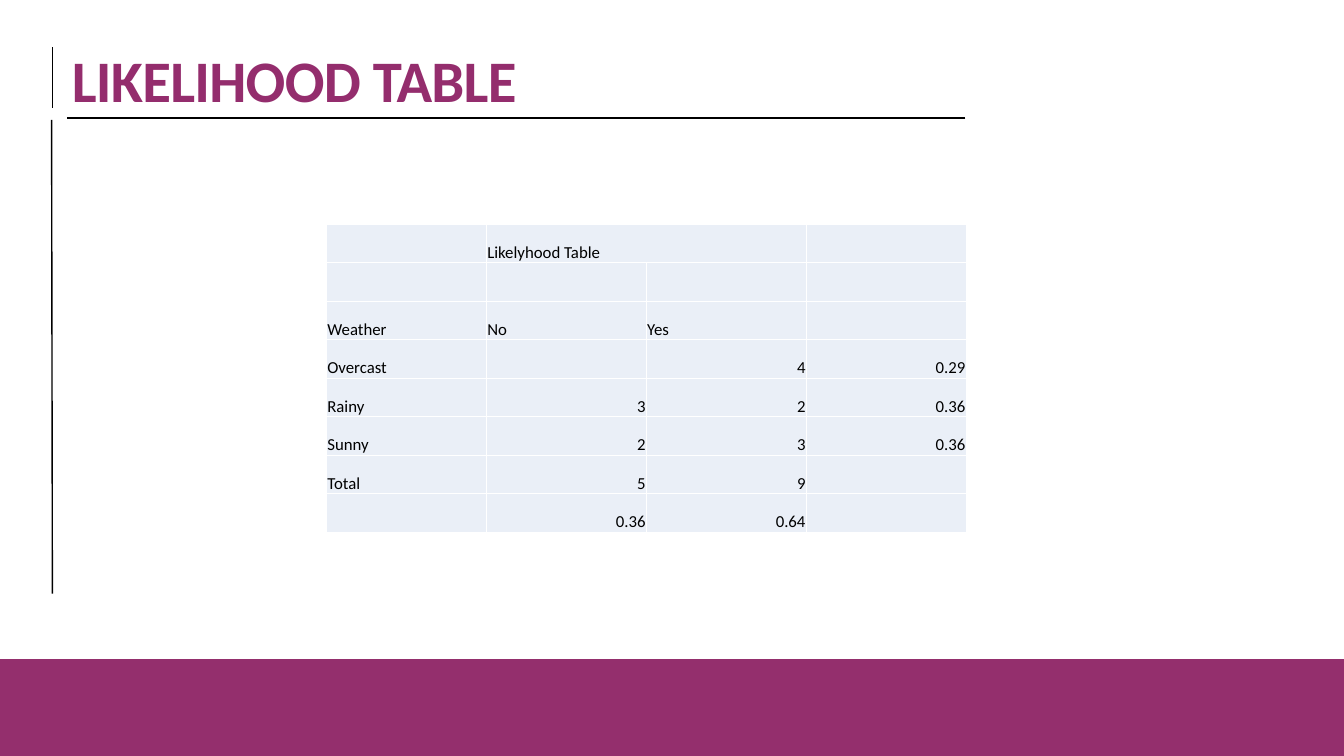
from dataclasses import dataclass

from lxml.etree import SubElement
from pptx import Presentation
from pptx.dml.color import RGBColor as Color
from pptx.enum.shapes import MSO_CONNECTOR as Connector, MSO_SHAPE as Shape
from pptx.enum.text import MSO_ANCHOR as Anchor, PP_ALIGN as Align
from pptx.oxml import parse_xml
from pptx.oxml.ns import nsdecls, qn
from pptx.util import Cm, Pt


@dataclass(frozen=True)
class Theme:
    font: str = "Calibri"
    title_size: int = 42
    table_size: int = 12
    title: str = "942D6D"
    band: str = "942F6D"
    ink: str = "000000"
    cell: str = "EAEFF7"
    border: str = "FFFFFF"


theme = Theme()


def style_font(paragraph, size, color, bold=False):
    font = paragraph.font
    font.name = theme.font
    font.size = Pt(size)
    font.bold = bold
    font.color.rgb = Color.from_string(color)


def style_cell(cell):
    cell.fill.solid()
    cell.fill.fore_color.rgb = Color.from_string(theme.cell)
    cell.vertical_anchor = Anchor.BOTTOM
    cell.margin_left = cell.margin_right = cell.margin_top = Cm(0.02)
    cell.margin_bottom = 0
    properties = cell._tc.get_or_add_tcPr()
    for index, side in enumerate("LRTB"):
        properties.insert(index, parse_xml(
            f'<a:ln{side} {nsdecls("a")} w="12700"><a:solidFill>'
            f'<a:srgbClr val="{theme.border}"/></a:solidFill></a:ln{side}>'))


presentation = Presentation()
presentation.slide_width = Cm(33.87)
presentation.slide_height = Cm(19.05)
slide = presentation.slides.add_slide(presentation.slide_layouts[6])

# Bottom band
band = slide.shapes.add_shape(Shape.RECTANGLE, 0, Cm(16.61), Cm(33.87), Cm(2.44))
band.shadow.inherit = False
band.fill.solid()
band.fill.fore_color.rgb = Color.from_string(theme.band)
band.line.fill.background()

# Title
title = slide.shapes.add_textbox(Cm(1.68), Cm(1.55), Cm(25.27), Cm(2.97))
frame = title.text_frame
frame.word_wrap = True
frame.margin_left = Cm(0.13)
frame.margin_top = Cm(0.21)
paragraph = frame.paragraphs[0]
paragraph.line_spacing = Pt(32)
style_font(paragraph, theme.title_size, theme.title, bold=True)
run = paragraph.add_run()
run.text = "LIKELIHOOD TABLE"
run._r.get_or_add_rPr().set("spc", "-50")

# Rules beside and below the title
rules = [
    (24.33, 2.97, 1.68, 2.97),
    (1.32, 2.72, 1.32, 1.18),
    (1.32, 14.96, 1.3, 3.02),
]
for ends in rules:
    rule = slide.shapes.add_connector(Connector.STRAIGHT, *map(Cm, ends))
    rule.line.color.rgb = Color.from_string(theme.ink)
    rule.line.width = Pt(1)
    SubElement(rule._element.spPr, qn("a:effectLst"))

# Likelihood table
rows = [
    ["", "Likelyhood Table", "", ""],
    ["", "", "", ""],
    ["Weather", "No", "Yes", ""],
    ["Overcast", "", "4", "0.29"],
    ["Rainy", "3", "2", "0.36"],
    ["Sunny", "2", "3", "0.36"],
    ["Total", "5", "9", ""],
    ["", "0.36", "0.64", ""],
]
column_width, row_height = Cm(4.03), Cm(0.97)
table = slide.shapes.add_table(
    len(rows), len(rows[0]), Cm(8.23), Cm(5.65),
    column_width * len(rows[0]), row_height * len(rows)).table
table.first_row = table.horz_banding = False
for column in table.columns:
    column.width = column_width
for table_row, values in zip(table.rows, rows):
    table_row.height = row_height
    for cell, value in zip(table_row.cells, values):
        style_cell(cell)
        cell.text = value
        paragraph = cell.text_frame.paragraphs[0]
        is_number = value[:1].isdigit()
        paragraph.alignment = Align.RIGHT if is_number else Align.LEFT
        style_font(paragraph, theme.table_size, theme.ink)
table.cell(0, 1).merge(table.cell(0, 2))

presentation.save("out.pptx")
